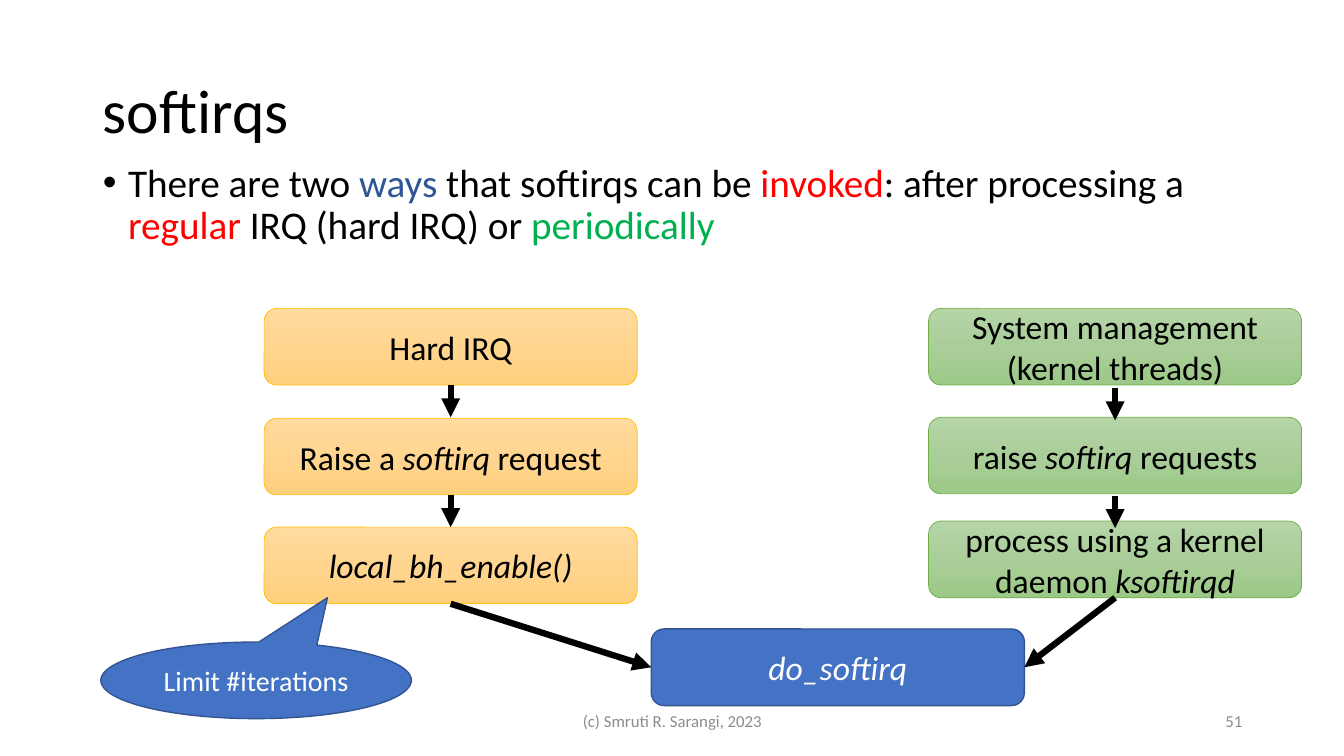
from copy import deepcopy
from dataclasses import dataclass

from lxml import etree
from pptx import Presentation
from pptx.dml.color import RGBColor
from pptx.enum.shapes import MSO_CONNECTOR, MSO_SHAPE
from pptx.enum.text import MSO_ANCHOR, MSO_AUTO_SIZE, PP_ALIGN
from pptx.oxml.ns import qn
from pptx.util import Inches, Pt

LEFT, CENTER, RIGHT = PP_ALIGN.LEFT, PP_ALIGN.CENTER, PP_ALIGN.RIGHT
TOP, MIDDLE = MSO_ANCHOR.TOP, MSO_ANCHOR.MIDDLE
ROUNDED, CALLOUT = MSO_SHAPE.ROUNDED_RECTANGLE, MSO_SHAPE.OVAL_CALLOUT
STRAIGHT = MSO_CONNECTOR.STRAIGHT
NO_AUTOFIT = MSO_AUTO_SIZE.NONE


@dataclass(frozen=True)
class BoxStyle:
    fill: tuple
    line: str
    line_width: float
    text: str


class Theme:
    font = "Calibri"
    black = "000000"
    blue = "2F5597"
    red = "FF0000"
    green = "00B050"
    gray = "8C8C8C"
    title_size, body_size, box_size, callout_size, footer_size = 44, 28, 24, 20, 12
    arrow_width = 4.5
    orange_box = BoxStyle(("FFDB9E", "FFD590", "FFD07C"), "FFC000", 0.5, black)
    green_box = BoxStyle(("B5D5A7", "AACE9A", "9CC987"), "70AD47", 0.5, black)
    blue_box = BoxStyle(("4472C4",), "325491", 1, "FFFFFF")


def color(value):
    return RGBColor.from_string(value)


class SlideBuilder:
    def __init__(self, slide, theme):
        self.slide = slide
        self.theme = theme

    def set_text(self, shape, runs, size, text_color, align=LEFT, anchor=MIDDLE, spacing=1.0):
        """Fill a shape with one paragraph; each run is (text, format values)."""
        frame = shape.text_frame
        frame_format = {"word_wrap": True, "auto_size": NO_AUTOFIT, "vertical_anchor": anchor}
        for name, value in frame_format.items():
            setattr(frame, name, value)
        paragraph = frame.paragraphs[0]
        paragraph_format = {"alignment": align, "line_spacing": spacing, "space_before": Pt(0)}
        for name, value in paragraph_format.items():
            setattr(paragraph, name, value)
        for text, changes in runs:
            run = paragraph.add_run()
            run.text = text
            values = {"name": self.theme.font, "size": Pt(size), "italic": False,
                      "color": text_color, **changes}
            run.font.color.rgb = color(values.pop("color"))
            for name, value in values.items():
                setattr(run.font, name, value)
        return paragraph

    def place(self, shape, *bounds):
        for name, value in zip(("left", "top", "width", "height"), bounds):
            setattr(shape, name, Inches(value))

    def title(self, text, *bounds):
        shape = self.slide.shapes.title
        self.place(shape, *bounds)
        self.set_text(shape, [(text, {})], self.theme.title_size, self.theme.black, spacing=0.9)

    def bullet(self, runs, *bounds):
        shape = self.slide.placeholders[1]
        self.place(shape, *bounds)
        paragraph = self.set_text(shape, runs, self.theme.body_size, self.theme.black,
                                  anchor=TOP, spacing=0.9)
        properties = paragraph._p.get_or_add_pPr()
        properties.set("marL", str(Inches(0.25)))
        properties.set("indent", str(Inches(-0.25)))
        etree.SubElement(properties, qn("a:buFont"), typeface="Arial")
        etree.SubElement(properties, qn("a:buChar"), char="•")

    def footer(self, text, align, *bounds):
        shape = self.slide.shapes.add_textbox(*map(Inches, bounds))
        self.set_text(shape, [(text, {})], self.theme.footer_size, self.theme.gray, align)

    def paint(self, shape, colors):
        """Fill solid with one colour, or top to bottom with several even stops."""
        fill = shape.fill
        if len(colors) == 1:
            fill.solid()
            fill.fore_color.rgb = color(colors[0])
            return
        fill.gradient()
        fill.gradient_angle = 270
        stop_list = shape._element.spPr.find(".//" + qn("a:gsLst"))
        while len(stop_list) < len(colors):
            stop_list.append(deepcopy(stop_list[0]))
        for index, (stop, value) in enumerate(zip(fill.gradient_stops, colors)):
            stop.position = index / (len(colors) - 1)
            stop.color.rgb = color(value)

    def box(self, runs, style, *bounds, kind=ROUNDED, size=None):
        shape = self.slide.shapes.add_shape(kind, *map(Inches, bounds))
        shape.shadow.inherit = False
        self.paint(shape, style.fill)
        shape.line.color.rgb = color(style.line)
        shape.line.width = Pt(style.line_width)
        self.set_text(shape, runs, size or self.theme.box_size, style.text, CENTER)
        return shape

    def arrow(self, start, end):
        connector = self.slide.shapes.add_connector(STRAIGHT, *map(Inches, (*start, *end)))
        connector.line.color.rgb = color(self.theme.black)
        connector.line.width = Pt(self.theme.arrow_width)
        etree.SubElement(connector.line._get_or_add_ln(), qn("a:tailEnd"), type="triangle")
        etree.SubElement(connector._element.spPr, qn("a:effectLst"))


def main():
    theme = Theme()
    presentation = Presentation()
    presentation.slide_width = Inches(13.33)
    presentation.slide_height = Inches(7.5)
    slide = presentation.slides.add_slide(presentation.slide_layouts[1])
    builder = SlideBuilder(slide, theme)
    italic, red = {"italic": True}, {"color": theme.red}

    builder.title("softirqs", 0.92, 0.4, 11.5, 1.45)
    builder.bullet([
        ("There are two ", {}), ("ways", {"color": theme.blue}),
        (" that softirqs can be ", {}), ("invoked", red),
        (": after processing a ", {}), ("regular", red),
        (" IRQ (hard IRQ) or ", {}), ("periodically", {"color": theme.green}),
    ], 0.92, 1.57, 11.31, 0.98)
    builder.footer("(c) Smruti R. Sarangi, 2023", CENTER, 4.42, 6.95, 4.5, 0.4)
    builder.footer("51", RIGHT, 9.42, 6.95, 3, 0.4)

    box_width, box_height = 3.7, 0.76
    target_left, target_top = 6.46, 6.24
    target_middle = target_top + box_height / 2
    builder.box([("do_softirq", italic)], theme.blue_box,
                target_left, target_top, box_width, box_height)

    # Each chain: style, left edge, target edge, arrow tops, then (top, runs) per step.
    chains = [
        (theme.orange_box, 2.62, target_left, (3.82, 4.91), [
            (3.06, [("Hard IRQ", {})]),
            (4.15, [("Raise a ", {}), ("softirq", italic), (" request", {})]),
            (5.23, [("local_bh_enable()", italic)]),
        ]),
        (theme.green_box, 9.21, target_left + box_width, (3.85, 4.92), [
            (3.06, [("System management (kernel threads)", {})]),
            (4.14, [("raise ", {}), ("softirq", italic), (" requests", {})]),
            (5.17, [("process using a kernel daemon ", {}), ("ksoftirqd", italic)]),
        ]),
    ]
    arrow_length = 0.32
    for style, left, target_edge, arrow_tops, steps in chains:
        for top, runs in steps:
            builder.box(runs, style, left, top, box_width, box_height)
        center = left + box_width / 2
        for top in arrow_tops:
            builder.arrow((center, top), (center, top + arrow_length))
        last_bottom = steps[-1][0] + box_height
        builder.arrow((center, last_bottom), (target_edge, target_middle))

    callout = builder.box([("Limit #iterations", {})], theme.blue_box, 1, 6.37, 3.08, 0.76,
                          kind=CALLOUT, size=theme.callout_size)
    callout.adjustments[0] = 0.23
    callout.adjustments[1] = -1.08

    presentation.save("out.pptx")


if __name__ == "__main__":
    main()
